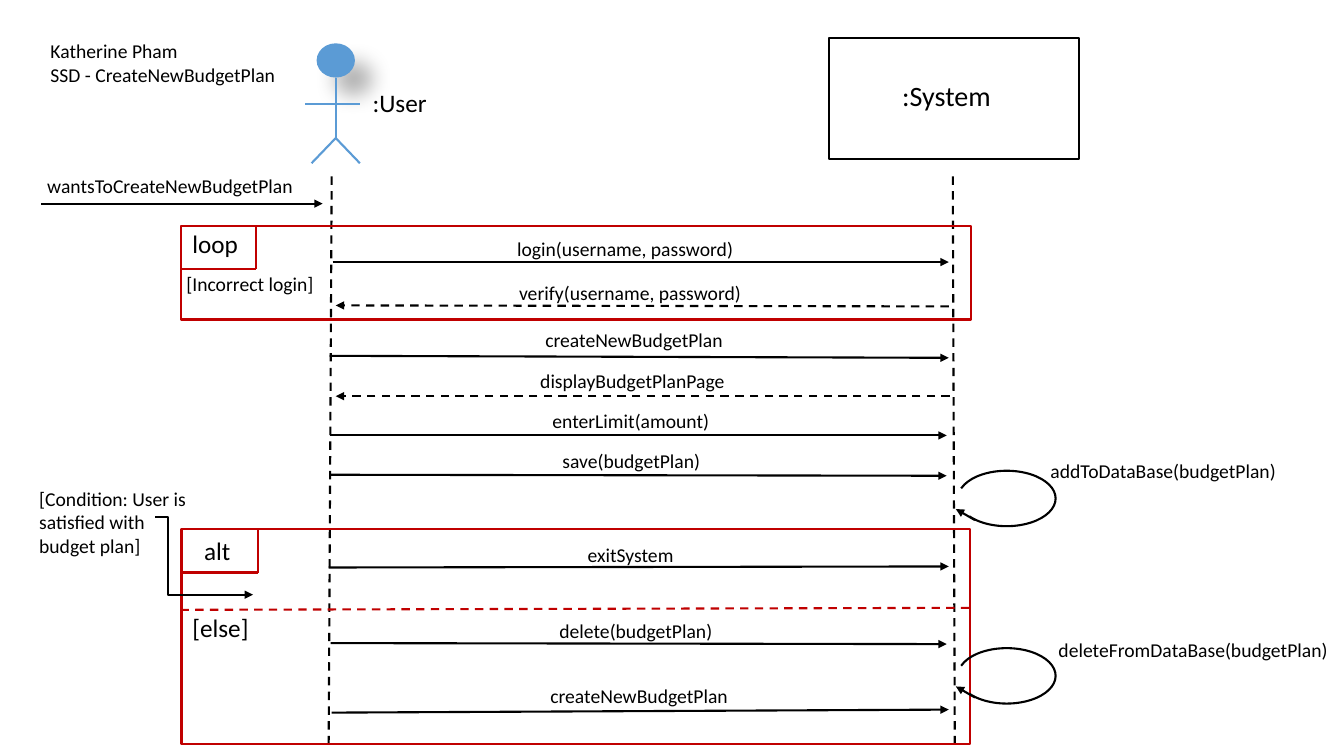
from lxml import etree
from pptx import Presentation
from pptx import util as u
from pptx.dml.color import RGBColor
from pptx.enum import dml, shapes, text
from pptx.oxml import parse_xml
from pptx.oxml.ns import qn

BLACK = RGBColor(0x00, 0x00, 0x00)
RED = RGBColor(0xC0, 0x00, 0x00)
BLUE = RGBColor(0x5B, 0x9B, 0xD5)
FONT = "Calibri"
SMALL, MEDIUM, LARGE = 14, 18, 20
LINE_HEIGHT = {SMALL: 0.34, MEDIUM: 0.4, LARGE: 0.44}

# Content: all lengths in inches
TITLE = "Katherine Pham\nSSD - CreateNewBudgetPlan"

# Message: label, label left, label top, label width, arrow start, arrow end, dashed
MESSAGES = [
    ("wantsToCreateNewBudgetPlan", 0.37, 1.68, 2.71, (0.41, 2.02), (3.2, 2.02), False),
    ("login(username, password)", 5.03, 2.3, 3.33, (3.3, 2.6), (9.41, 2.6), False),
    ("verify(username, password)", 5.05, 2.74, 3.39, (9.41, 3.04), (3.33, 3.03), True),
    ("createNewBudgetPlan", 5.31, 3.2, 3.22, (3.27, 3.53), (9.41, 3.55), False),
    ("displayBudgetPlanPage", 5.26, 3.61, 4.14, (9.42, 3.93), (3.33, 3.93), True),
    ("enterLimit(amount)", 5.38, 4.01, 2.52, (3.27, 4.32), (9.39, 4.32), False),
    ("save(budgetPlan)", 5.48, 4.4, 2.13, (3.27, 4.71), (9.39, 4.72), False),
    ("exitSystem", 5.73, 5.34, 1.63, (3.26, 5.63), (9.41, 5.62), False),
    ("delete(budgetPlan)", 5.45, 6.09, 2.06, (3.28, 6.38), (9.39, 6.39), False),
    ("createNewBudgetPlan", 5.36, 6.74, 3.59, (3.29, 7.07), (9.41, 7.04), False),
]

# Self call: label, label left, label top, loop top
SELF_CALLS = [
    ("addToDataBase(budgetPlan)", 10.32, 4.5, 4.67),
    ("deleteFromDataBase(budgetPlan)", 10.4, 6.28, 6.43),
]

# Frame: box, tab width, tab name, name left, name top, name width
FRAMES = [
    ((1.8, 2.24, 7.83, 0.93), 0.74, "loop", 1.81, 2.22, 0.74),
    ((1.8, 5.25, 7.82, 2.13), 0.76, " alt", 1.87, 5.26, 0.76),
]
TAB_HEIGHT = 0.43

# Note: text, left, top, width, size
NOTES = [
    (":System", 8.85, 0.73, 2, LARGE),
    (" :User", 3.54, 0.82, 1.02, MEDIUM),
    ("[Incorrect login]", 1.75, 2.65, 1.54, SMALL),
    ("[Condition: User is satisfied with budget plan]", 0.29, 4.78, 1.76, SMALL),
    ("[else]", 1.81, 6.03, 0.87, MEDIUM),
]

LIFELINES = [((3.29, 1.75), (3.26, 7.38)), ((9.45, 1.75), (9.47, 7.38))]
NECK, HIP = (3.33, 0.77), (3.33, 1.37)
LIMBS = [(NECK, HIP), ((3.03, 1.03), (3.57, 1.03)), (HIP, (3.09, 1.62)), (HIP, (3.57, 1.62))]

prs = Presentation()
prs.slide_width, prs.slide_height = u.Inches(13.33), u.Inches(7.5)
slide = prs.slides.add_slide(prs.slide_layouts[5])


def inches(*values):
    return [u.Inches(v) for v in values]


def style_text(tf, size):
    tf.word_wrap = True
    for p in tf.paragraphs:
        p.alignment = text.PP_ALIGN.LEFT
        for r in p.runs:
            r.font.name, r.font.size = FONT, u.Pt(size)
            r.font.color.rgb = BLACK


def add_label(words, left, top, width, size=SMALL):
    sp = slide.shapes.add_textbox(*inches(left, top, width, LINE_HEIGHT[size]))
    sp.text_frame.text = words
    style_text(sp.text_frame, size)


def add_outline(kind, box, color):
    sp = slide.shapes.add_shape(kind, *inches(*box))
    sp.shadow.inherit = False
    sp.fill.background()
    sp.line.color.rgb, sp.line.width = color, u.Pt(1.5)
    return sp


def add_line(start, end, color=BLACK, dashed=False, arrow=False,
             kind=shapes.MSO_CONNECTOR.STRAIGHT):
    line = slide.shapes.add_connector(kind, *inches(*start, *end))
    line.line.color.rgb, line.line.width = color, u.Pt(1.5)
    if dashed:
        line.line.dash_style = dml.MSO_LINE.DASH
    if arrow:
        etree.SubElement(line.line._get_or_add_ln(), qn("a:tailEnd"), type="triangle")
    etree.SubElement(line._element.spPr, qn("a:effectLst"))
    return line


# Title
title = slide.shapes.title
title.left, title.top, title.width, title.height = inches(0.4, 0.34, 2.52, 0.57)
title.text_frame.text = TITLE
title.text_frame.auto_size = text.MSO_AUTO_SIZE.NONE
title.text_frame.vertical_anchor = text.MSO_ANCHOR.TOP
style_text(title.text_frame, SMALL)

# System box and user figure
add_outline(shapes.MSO_SHAPE.RECTANGLE, (8.22, 0.38, 2.48, 1.2), BLACK)
head = add_outline(shapes.MSO_SHAPE.OVAL, (3.14, 0.43, 0.38, 0.34), BLUE)
head.fill.solid()
head.fill.fore_color.rgb = BLUE
head.line.fill.background()
effects = head._element.spPr.find(qn("a:effectLst"))
effects.append(parse_xml(
    '<a:outerShdw xmlns:a="http://schemas.openxmlformats.org/drawingml/2006/main" '
    f'blurRad="{u.Pt(15)}" dist="{u.Pt(18)}" dir="2700000" algn="ctr" rotWithShape="0">'
    '<a:srgbClr val="000000"><a:alpha val="30000"/></a:srgbClr></a:outerShdw>'))
for start, end in LIMBS:
    add_line(start, end, BLUE)

# Lifelines
for start, end in LIFELINES:
    add_line(start, end, dashed=True)

# Frames with name tabs
for box, tab_width, name, name_left, name_top, name_width in FRAMES:
    left, top = box[:2]
    right, bottom = left + tab_width, top + TAB_HEIGHT
    add_outline(shapes.MSO_SHAPE.RECTANGLE, box, RED)
    add_line((left, bottom), (right, bottom), RED)
    add_line((right, bottom), (right, top), RED)
    add_label(name, name_left, name_top, name_width, MEDIUM)
add_line((1.79, 6.05), (9.63, 6.03), RED, dashed=True)

# Messages
for words, left, top, width, start, end, dashed in MESSAGES:
    add_line(start, end, dashed=dashed, arrow=True)
    add_label(words, left, top, width)

# Self calls
for words, left, top, loop_top in SELF_CALLS:
    add_label(words, left, top, 3.64)
    arc = add_outline(shapes.MSO_SHAPE.ARC, (9.5, loop_top, 0.97, 0.55), BLACK)
    arc.adjustments[0], arc.adjustments[1] = 115.49, 92.57
    add_line((9.67, loop_top + 0.49), (9.48, loop_top + 0.38), arrow=True)

# Notes and the condition arrow
for note in NOTES:
    add_label(*note)
elbow = add_line((1.54, 5.13), (2.51, 5.9), arrow=True, kind=shapes.MSO_CONNECTOR.ELBOW)
guides = elbow._element.spPr.find(qn("a:prstGeom")).find(qn("a:avLst"))
etree.SubElement(guides, qn("a:gd"), name="adj1", fmla="val 13500")

prs.save("out.pptx")
